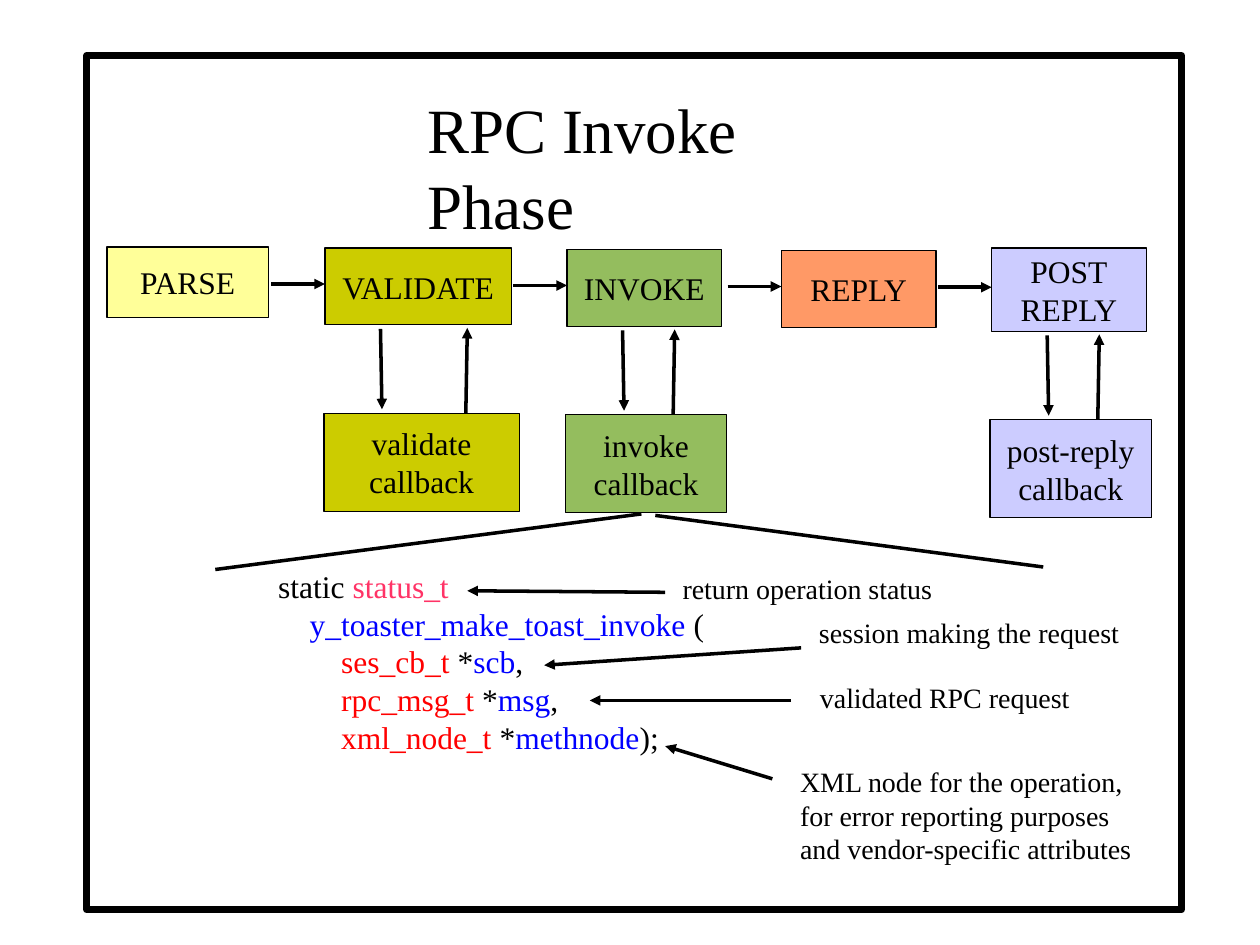
from lxml.etree import SubElement
from pptx import Presentation
from pptx.dml.color import RGBColor
from pptx.enum.shapes import MSO_CONNECTOR, MSO_SHAPE
from pptx.enum.text import MSO_ANCHOR, MSO_AUTO_SIZE, PP_ALIGN
from pptx.oxml.ns import qn
from pptx.util import Cm, Pt

FONT = "Times New Roman"
BLACK, WHITE, PINK, RED, BLUE = "000000", "FFFFFF", "FF3366", "FF0000", "0000FF"

# Content; all lengths in centimetres as left, top, width, height
TITLE = "RPC Invoke Phase"
FRAME = (1.75, 1.12, 22.07, 17.22)
# Phase text, place, colour, then callback text and place if there is one
PHASES = [
    ("PARSE", (2.16, 4.98, 3.25, 1.42), "FFFF99", None, None),
    ("VALIDATE", (6.55, 5, 3.76, 1.55), "CCCC00",
     "validate\ncallback", (6.53, 8.33, 3.94, 1.98)),
    ("INVOKE", (11.43, 5.03, 3.12, 1.55), "94BD5E",
     "invoke\ncallback", (11.4, 8.36, 3.25, 1.98)),
    ("REPLY", (15.75, 5.05, 3.12, 1.55), "FF9966", None, None),
    ("POST\nREPLY", (19.99, 5, 3.12, 1.68), "CCCCFF",
     "post-reply\ncallback", (19.96, 8.46, 3.25, 1.98)),
]
CODE = [
    [("static ", BLACK), ("status_t", PINK)],
    [("    y_toaster_make_toast_invoke", BLUE), (" (", BLACK)],
    [("        ses_cb_t", RED), (" *", BLACK), ("scb", BLUE), (",", BLACK)],
    [("        rpc_msg_t", RED), (" *", BLACK), ("msg", BLUE), (",", BLACK)],
    [("        xml_node_t", RED), (" *", BLACK), ("methnode", BLUE), (");", BLACK)],
]
CODE_PLACE = (5.36, 11.3, 9.12, 4.06)
# Note text, place, arrow start, arrow end
NOTES = [
    ("return operation status", (13.51, 11.4, 5.54, 1.24),
     (13.41, 11.94), (9.42, 11.91)),
    ("session making the request", (16.26, 12.29, 6.58, 1.24),
     (16.15, 13.06), (10.97, 13.41)),
    ("validated RPC request", (16.28, 13.59, 5.54, 0.94),
     (15.95, 14.12), (11.89, 14.12)),
    ("XML node for the operation,\nfor error reporting purposes\n"
     "and vendor-specific attributes", (15.88, 15.29, 7.21, 2.29),
     (15.57, 15.7), (13.41, 15.04)),
]
FAN_LINES = [((4.34, 11.48), (12.93, 10.36)), ((13.21, 10.39), (21.03, 11.43))]


def color(hex_text):
    return RGBColor.from_string(hex_text)


def lengths(values):
    return [Cm(value) for value in values]


def write(frame, paragraphs, size, align=PP_ALIGN.LEFT):
    """Fill a text frame; each paragraph is a list of (text, colour)."""
    for index, runs in enumerate(paragraphs):
        para = frame.paragraphs[0] if index == 0 else frame.add_paragraph()
        para.alignment = align
        for text, hex_text in runs:
            for number, line in enumerate(text.split("\n")):
                if number:
                    para.add_line_break()
                span = para.add_run()
                span.text = line
                span.font.name = FONT
                span.font.size = Pt(size)
                span.font.color.rgb = color(hex_text)


def add_box(slide, place, fill, line_width=0, text=None):
    box = slide.shapes.add_shape(MSO_SHAPE.RECTANGLE, *lengths(place))
    box.shadow.inherit = False
    box.fill.solid()
    box.fill.fore_color.rgb = color(fill)
    box.line.color.rgb = color(BLACK)
    box.line.width = Pt(line_width)
    if text:
        box.text_frame.vertical_anchor = MSO_ANCHOR.MIDDLE
        write(box.text_frame, [[(text, BLACK)]], 18, PP_ALIGN.CENTER)
    return box


def add_text(slide, place, paragraphs, size):
    box = slide.shapes.add_textbox(*lengths(place))
    box.text_frame.word_wrap = False
    box.text_frame.auto_size = MSO_AUTO_SIZE.SHAPE_TO_FIT_TEXT
    write(box.text_frame, paragraphs, size)


def add_line(slide, start, end, arrow=True):
    line = slide.shapes.add_connector(MSO_CONNECTOR.STRAIGHT, *lengths(start + end))
    line.line.color.rgb = color(BLACK)
    line.line.width = Pt(0)
    if arrow:
        SubElement(line.line._get_or_add_ln(), qn("a:tailEnd"), type="triangle")
    SubElement(line._element.spPr, qn("a:effectLst"))


def add_phases(slide):
    for index, (name, place, fill, callback, callback_place) in enumerate(PHASES):
        left, top, width, height = place
        add_box(slide, place, fill, text=name)
        # Arrow from the phase before
        if index:
            middle = top + height / 2 - 0.05
            add_line(slide, (left - 1.08, middle), (left, middle))
        # Callback with its call and return arrows
        if callback:
            add_box(slide, callback_place, fill, text=callback)
            bottom, callback_top = top + height, callback_place[1]
            down = left + 1.12
            up = callback_place[0] + callback_place[2] - 1.08
            add_line(slide, (down, bottom + 0.08), (down + 0.03, callback_top - 0.08))
            add_line(slide, (up, callback_top), (up + 0.03, bottom + 0.06))


def main():
    deck = Presentation()
    deck.slide_width, deck.slide_height = Cm(25.4), Cm(19.05)
    slide = deck.slides.add_slide(deck.slide_layouts[5])

    # Frame behind everything
    frame = add_box(slide, FRAME, WHITE, line_width=4)
    slide.shapes._spTree.insert(2, frame._element)

    # Title
    title = slide.shapes.title
    title.left, title.top, title.width, title.height = lengths((8.36, 1.7, 10.03, 1.78))
    title.text_frame.word_wrap = False
    title.text_frame.auto_size = MSO_AUTO_SIZE.SHAPE_TO_FIT_TEXT
    title.text_frame.vertical_anchor = MSO_ANCHOR.TOP
    write(title.text_frame, [[(TITLE, BLACK)]], 36)

    add_phases(slide)

    # Callback prototype and its notes
    add_text(slide, CODE_PLACE, CODE, 18)
    for text, place, start, end in NOTES:
        add_text(slide, place, [[(text, BLACK)]], 16)
        add_line(slide, start, end)
    for start, end in FAN_LINES:
        add_line(slide, start, end, arrow=False)

    deck.save("out.pptx")


if __name__ == "__main__":
    main()
